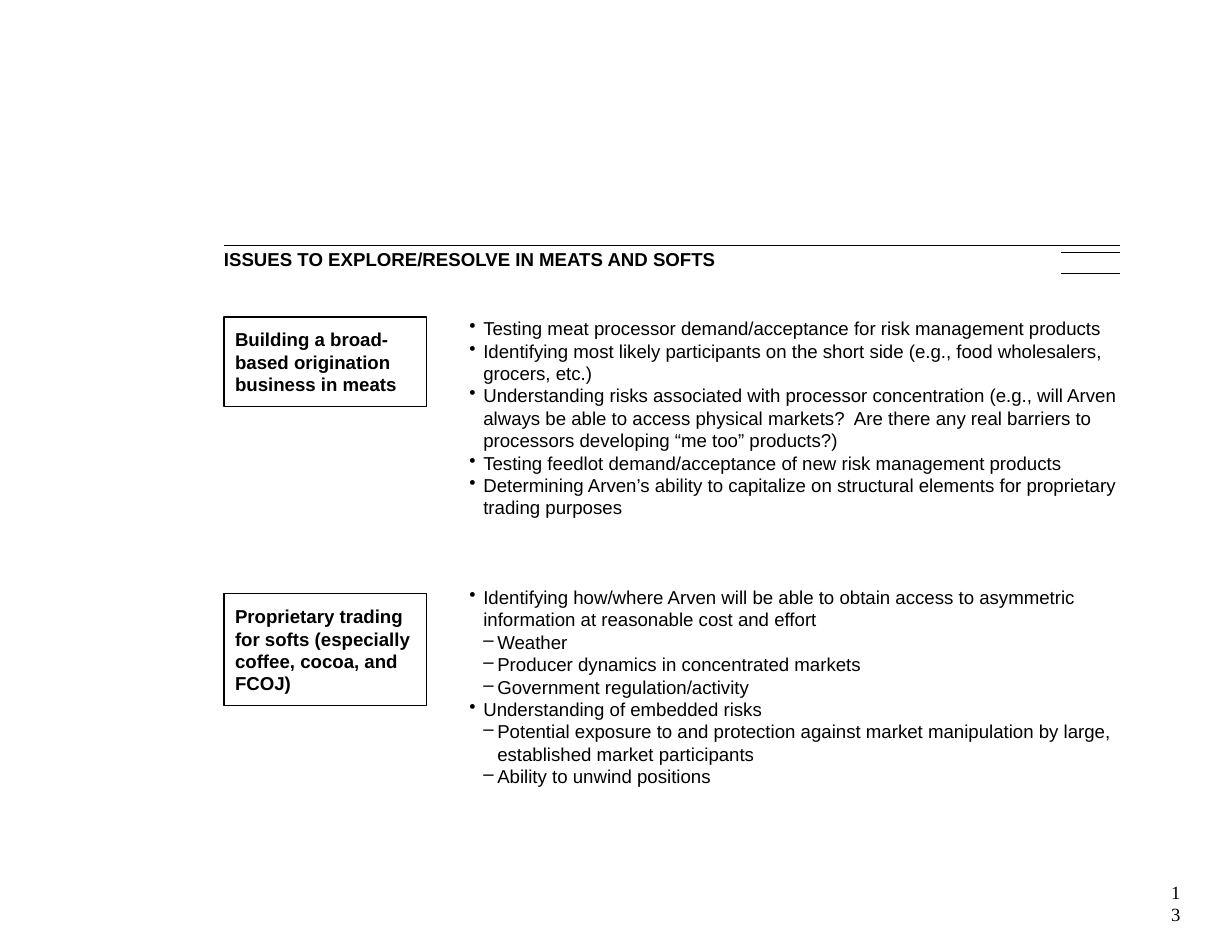
from lxml import etree
from pptx import Presentation
from pptx.dml.color import RGBColor
from pptx.enum.shapes import MSO_CONNECTOR, MSO_SHAPE
from pptx.enum.text import MSO_ANCHOR, PP_ALIGN
from pptx.oxml.ns import qn
from pptx.util import Pt

STRAIGHT = MSO_CONNECTOR.STRAIGHT
RECTANGLE = MSO_SHAPE.RECTANGLE
TOP = MSO_ANCHOR.TOP
LEFT, RIGHT = PP_ALIGN.LEFT, PP_ALIGN.RIGHT

COLORS = {"ink": "000000", "paper": "FFFFFF"}
SIZE, LEADING, INDENT, RULE = 12, 14.4, 9, 0.75
BULLETS = ("•", "–")

TOPICS = [
    ("Building a broad-based origination business in meats", 57.6),
    ("Proprietary trading for softs (especially coffee, cocoa, and FCOJ)", 72),
]
ISSUES = [
    [
        (0, "Testing meat processor demand/acceptance for risk management products"),
        (0, "Identifying most likely participants on the short side (e.g., food wholesalers, grocers, etc.)"),
        (0, "Understanding risks associated with processor concentration (e.g., will Arven always be able "
            "to access physical markets?  Are there any real barriers to processors developing “me too” products?)"),
        (0, "Testing feedlot demand/acceptance of new risk management products"),
        (0, "Determining Arven’s ability to capitalize on structural elements for proprietary trading purposes"),
    ],
    [
        (0, "Identifying how/where Arven will be able to obtain access to asymmetric information "
            "at reasonable cost and effort"),
        (1, "Weather"),
        (1, "Producer dynamics in concentrated markets"),
        (1, "Government regulation/activity"),
        (0, "Understanding of embedded risks"),
        (1, "Potential exposure to and protection against market manipulation by large, "
            "established market participants"),
        (1, "Ability to unwind positions"),
    ],
]


def color(name):
    """Return the named colour."""
    return RGBColor.from_string(COLORS[name])


def prepare_frame(shape, inset=0):
    """Make the shape's text wrap from the top with equal insets."""
    frame = shape.text_frame
    frame.word_wrap = True
    frame.vertical_anchor = TOP
    frame.margin_left = frame.margin_right = Pt(inset)
    frame.margin_top = frame.margin_bottom = Pt(inset)
    return frame


def write(paragraph, text, bold=False, font="Arial", align=LEFT):
    """Fill a paragraph with text in the slide's style."""
    paragraph.text = text
    paragraph.alignment = align
    paragraph.line_spacing = Pt(LEADING)
    paragraph.font.name = font
    paragraph.font.size = Pt(SIZE)
    paragraph.font.bold = bold
    paragraph.font.color.rgb = color("ink")


def add_bullet(paragraph, level):
    """Give a paragraph the hanging bullet of its level."""
    props = paragraph._p.get_or_add_pPr()
    props.set("marL", str(Pt(INDENT * (level + 1))))
    props.set("indent", str(Pt(-INDENT)))
    etree.SubElement(props, qn("a:buChar")).set("char", BULLETS[level])


def add_rule(slide, left, top, right):
    """Draw a thin horizontal line."""
    rule = slide.shapes.add_connector(STRAIGHT, Pt(left), Pt(top), Pt(right), Pt(top))
    rule.line.color.rgb = color("ink")
    rule.line.width = Pt(RULE)
    etree.SubElement(rule._element.spPr, qn("a:effectLst"))


def add_header(slide, left, top, width):
    """Draw the title under its rule, with the short rules at the right."""
    right = left + width
    add_rule(slide, left, top, right)
    for drop in (4.5, 18):
        add_rule(slide, right - 38, top + drop, right)
    title = slide.shapes.add_textbox(Pt(left), Pt(top + 1.5), Pt(width), Pt(LEADING))
    write(prepare_frame(title).paragraphs[0], "ISSUES TO EXPLORE/RESOLVE IN MEATS AND SOFTS", bold=True)


def add_topic(slide, left, top, width, height, text):
    """Draw one outlined topic box."""
    topic = slide.shapes.add_shape(RECTANGLE, Pt(left), Pt(top), Pt(width), Pt(height))
    topic.shadow.inherit = False
    topic.fill.solid()
    topic.fill.fore_color.rgb = color("paper")
    topic.line.color.rgb = color("ink")
    topic.line.width = Pt(RULE)
    write(prepare_frame(topic, 7.2).paragraphs[0], text, bold=True)


def add_issues(slide, left, top, width, height):
    """Write the issue groups, three lines apart."""
    issues = slide.shapes.add_textbox(Pt(left), Pt(top), Pt(width), Pt(height))
    frame = prepare_frame(issues)
    paragraph = None
    for group in ISSUES:
        for position, (level, text) in enumerate(group):
            opens_group = paragraph is not None and position == 0
            paragraph = frame.add_paragraph() if paragraph is not None else frame.paragraphs[0]
            add_bullet(paragraph, level)
            write(paragraph, text)
            if opens_group:
                paragraph.space_before = Pt(3 * LEADING)


def add_page_number(slide, left, top, side):
    """Write the page number in its narrow box."""
    number = slide.shapes.add_textbox(Pt(left), Pt(top), Pt(side), Pt(side))
    paragraph = prepare_frame(number).paragraphs[0]
    paragraph._p.get_or_add_pPr().set("marL", str(Pt(17.3)))
    write(paragraph, "13", font="Times New Roman", align=RIGHT)


def main():
    """Build the slide and save it."""
    deck = Presentation()
    deck.slide_width, deck.slide_height = Pt(792), Pt(612)
    slide = deck.slides.add_slide(deck.slide_layouts[6])
    left, width, body_top = 144, 576, 203.8
    add_header(slide, left, 157.6, width)
    add_issues(slide, 301.7, body_top, 418.3, 21 * LEADING)
    for index, (text, height) in enumerate(TOPICS):
        add_topic(slide, left, body_top + index * 178, 130.3, height, text)
    add_page_number(slide, 741.6, 566, LEADING)
    deck.save("out.pptx")


if __name__ == "__main__":
    main()
